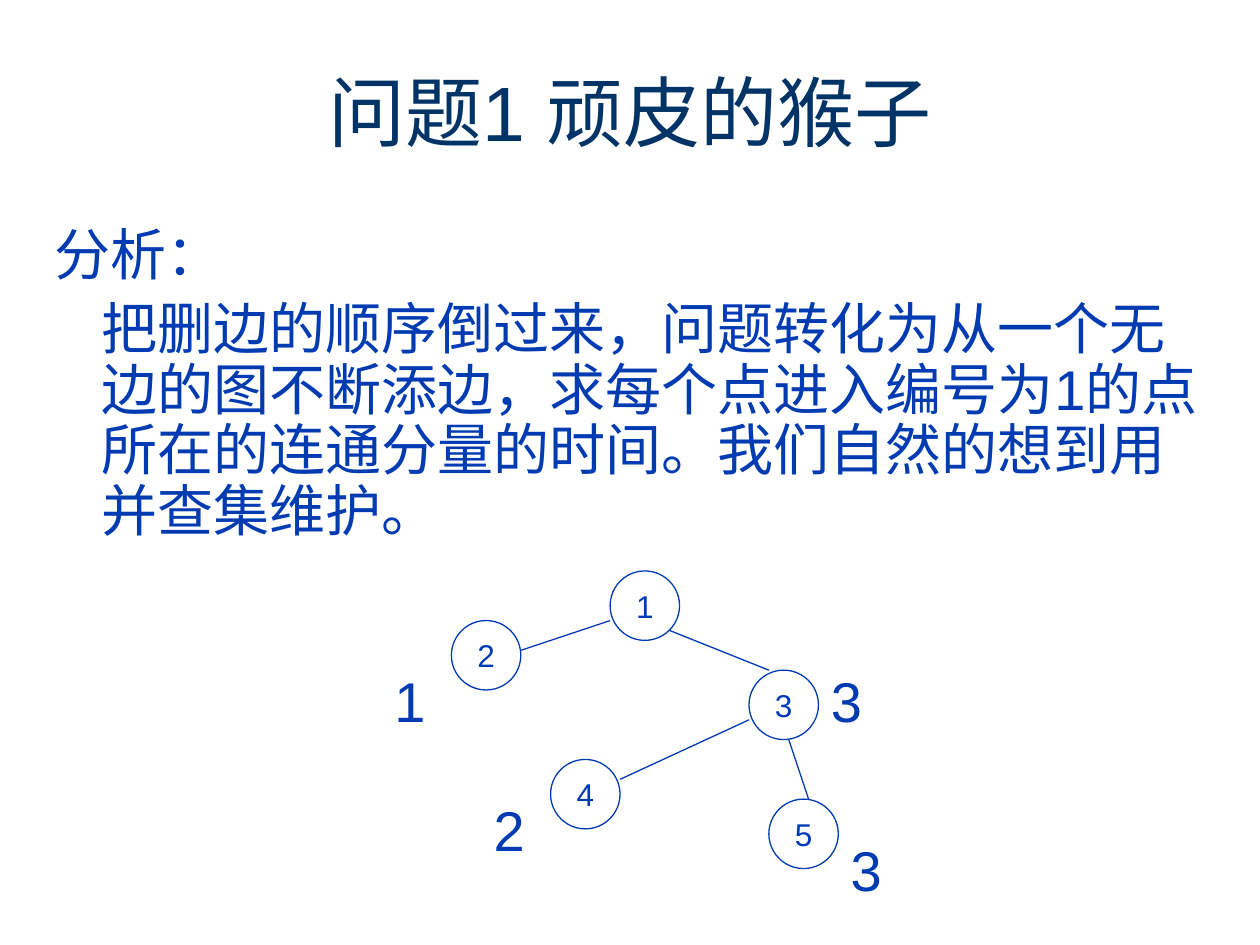
import pptx
import pptx.dml.color
import pptx.enum.shapes
import pptx.enum.text
import pptx.util
from lxml import etree
from pptx.oxml.ns import qn
from pptx.util import Cm, Pt

COLORS = {"title": "003366", "ink": "003BB2", "paper": "FFFFFF"}
FONT = "Arial"
LINE_WIDTH = Pt(0.74)
DIAMETER = 1.4

# Node number: left and top within the tree
NODES = {2: (1.4, 1), 3: (7.4, 2), 5: (7.8, 4.6), 4: (3.4, 3.8), 1: (4.6, 0)}
# Parent, point on parent, child, point on child
EDGES = [
    (1, (0, 1), 2, (1.4, 0.6)),
    (1, (1.2, 1.2), 3, (0.4, 0)),
    (3, (0, 1), 4, (1.4, 0.4)),
    (3, (0.8, 1.4), 5, (0.8, 0)),
]
# Node number: entry time, offset from the node, width
TIMES = {
    2: ("1", (-1.4, 0.8), 1.4),
    4: ("2", (-1.4, 0.6), 1.4),
    3: ("3", (1.4, -0.2), 1.2),
    5: ("3", (1.4, 0.6), 1.2),
}


def rgb(name):
    """Return the named colour."""
    return pptx.dml.color.RGBColor.from_string(COLORS[name])


def style(paragraph, size, color="ink", align=None):
    """Set the font and alignment of a paragraph."""
    paragraph.font.name = FONT
    paragraph.font.size = Pt(size)
    paragraph.font.color.rgb = rgb(color)
    paragraph.alignment = align


def add_text(slide, left, top, width, height):
    """Add an empty wrapping text box and return its frame."""
    frame = slide.shapes.add_textbox(
        Cm(left), Cm(top), Cm(width), Cm(height)).text_frame
    frame.word_wrap = True
    return frame


def add_title(slide, left, top, width, height):
    """Place the centred heading."""
    heading = add_text(slide, left, top, width, height)
    heading.vertical_anchor = pptx.enum.text.MSO_ANCHOR.MIDDLE
    heading.text = "问题1 顽皮的猴子"
    style(heading.paragraphs[0], 44, "title", pptx.enum.text.PP_ALIGN.CENTER)


def add_analysis(slide, left, top, width, height):
    """Place the lead-in and the indented analysis."""
    analysis = add_text(slide, left, top, width, height)
    analysis.text = (
        "分析：\n"
        "把删边的顺序倒过来，问题转化为从一个无边的图不断添边，"
        "求每个点进入编号为1的点所在的连通分量的时间。"
        "我们自然的想到用并查集维护。")
    for paragraph, margin in zip(analysis.paragraphs, (0, 0.95)):
        style(paragraph, 32)
        paragraph.line_spacing = 0.9
        paragraph.space_before = Pt(8)
        properties = paragraph._p.get_or_add_pPr()
        properties.set("marL", str(Cm(margin)))
        properties.set("indent", "0")


def add_node(slide, left, top, number):
    """Place one numbered circle."""
    node = slide.shapes.add_shape(
        pptx.enum.shapes.MSO_SHAPE.OVAL,
        Cm(left), Cm(top), Cm(DIAMETER), Cm(DIAMETER))
    node.shadow.inherit = False
    node.fill.solid()
    node.fill.fore_color.rgb = rgb("paper")
    node.line.color.rgb = rgb("ink")
    node.line.width = LINE_WIDTH
    frame = node.text_frame
    frame.word_wrap = False
    frame.vertical_anchor = pptx.enum.text.MSO_ANCHOR.MIDDLE
    frame.text = str(number)
    style(frame.paragraphs[0], 18, align=pptx.enum.text.PP_ALIGN.CENTER)


def add_edge(slide, start, end):
    """Draw a straight edge between two points."""
    edge = slide.shapes.add_connector(
        pptx.enum.shapes.MSO_CONNECTOR.STRAIGHT,
        *(Cm(value) for value in (*start, *end)))
    edge.line.color.rgb = rgb("ink")
    edge.line.width = LINE_WIDTH
    etree.SubElement(edge._element.spPr, qn("a:effectLst"))


def add_tree(slide, left, top):
    """Place the tree with its nodes, edges and entry times."""
    def at(number, offset=(0, 0)):
        """Return a slide point given relative to a node."""
        x, y = NODES[number]
        return left + x + offset[0], top + y + offset[1]

    for number in NODES:
        add_node(slide, *at(number), number)
    for parent, parent_point, child, child_point in EDGES:
        add_edge(slide, at(parent, parent_point), at(child, child_point))
    for number, (value, offset, width) in TIMES.items():
        time = add_text(slide, *at(number, offset), width, 1.62)
        time.text = value
        style(time.paragraphs[0], 32)


def main():
    """Build and save the slide."""
    deck = pptx.Presentation()
    deck.slide_width, deck.slide_height = Cm(25.4), Cm(19.05)
    slide = deck.slides.add_slide(deck.slide_layouts[6])
    add_title(slide, 0.84, 0.64, 23.72, 3.18)
    add_analysis(slide, 0.84, 4.45, 23.72, 7.26)
    add_tree(slide, 7.7, 11.51)
    deck.save("out.pptx")


main()
